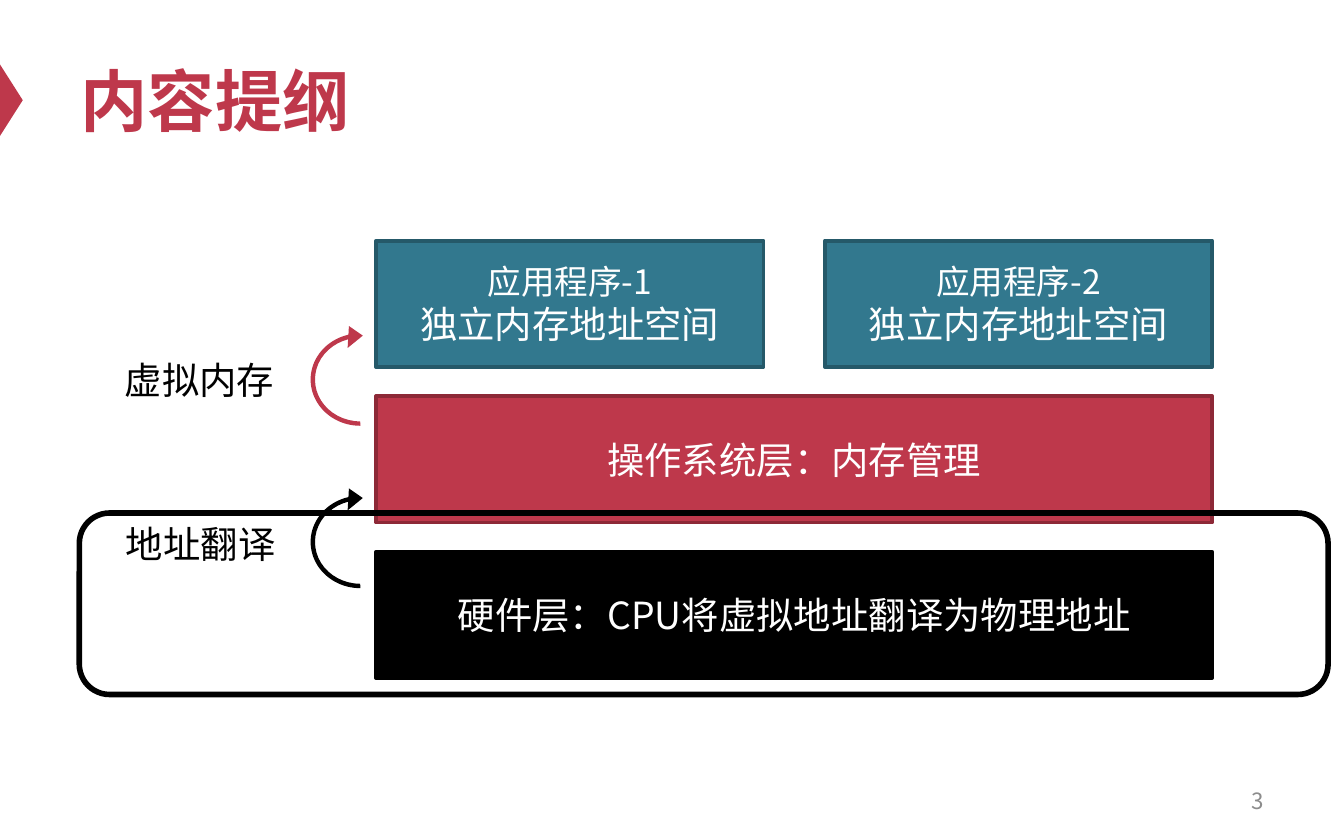
from lxml import etree
from pptx import Presentation
from pptx import util as u
from pptx.dml.color import RGBColor
from pptx.enum import shapes, text
from pptx.oxml.ns import qn

RED = RGBColor(0xBE, 0x38, 0x4B)
DARK_RED = RGBColor(0x8D, 0x29, 0x37)
TEAL = RGBColor(0x32, 0x78, 0x8E)
DARK_TEAL = RGBColor(0x25, 0x59, 0x69)
BLACK = RGBColor(0, 0, 0)
WHITE = RGBColor(0xFF, 0xFF, 0xFF)
GREY = RGBColor(0x8C, 0x8C, 0x8C)
CJK = "Noto Sans CJK SC"
ST = shapes.MSO_SHAPE
AL = text.PP_ALIGN


def format_text(p, size, color, name, align, bold=False):
    p.alignment = align
    f = p.font
    f.size, f.name, f.bold = u.Pt(size), name, bold
    f.color.rgb = color
    etree.SubElement(f._element, qn("a:ea")).set("typeface", CJK)


def add_shape(kind, x, y, w, h, fill=None, line=None, width=2):
    sp = s.shapes.add_shape(kind, u.Cm(x), u.Cm(y), u.Cm(w), u.Cm(h))
    sp.shadow.inherit = False
    if fill is None:
        sp.fill.background()
    else:
        sp.fill.solid()
        sp.fill.fore_color.rgb = fill
    if line is None:
        sp.line.fill.background()
    else:
        sp.line.color.rgb = line
        sp.line.width = u.Pt(width)
    return sp


prs = Presentation()
prs.slide_width, prs.slide_height = u.Cm(25.4), u.Cm(15.88)
s = prs.slides.add_slide(prs.slide_layouts[5])

marker = add_shape(ST.ISOSCELES_TRIANGLE, -0.46, 1.68, 1.35, 0.43, RED)
marker.rotation = 90

title = s.shapes.title
title.left, title.top, title.width, title.height = u.Cm(1.27), u.Cm(0.64), u.Cm(22.86), u.Cm(2.49)
tf = title.text_frame
tf.text = "内容提纲"
tf.vertical_anchor = text.MSO_ANCHOR.MIDDLE
format_text(tf.paragraphs[0], 36, RED, "Arial", AL.LEFT, True)

LEFT, FULL, HALF, HEIGHT = 7.11, 15.8, 7.32, 2.39
TOP, STEP = 4.55, 2.94
layers = [
    (LEFT, 2, FULL, BLACK, BLACK, [("硬件层：CPU将虚拟地址翻译为物理地址", 20)]),
    (LEFT, 1, FULL, RED, DARK_RED, [("操作系统层：内存管理", 20)]),
    (LEFT, 0, HALF, TEAL, DARK_TEAL, [("应用程序-1", 18), ("独立内存地址空间", 20)]),
    (LEFT + FULL - HALF, 0, HALF, TEAL, DARK_TEAL, [("应用程序-2", 18), ("独立内存地址空间", 20)]),
]
for x, row, w, fill, line, lines in layers:
    sp = add_shape(ST.RECTANGLE, x, TOP + row * STEP, w, HEIGHT, fill, line)
    tf = sp.text_frame
    tf.vertical_anchor = text.MSO_ANCHOR.MIDDLE
    p = tf.paragraphs[0]
    format_text(p, 20, WHITE, CJK, AL.CENTER)
    for i, (words, size) in enumerate(lines):
        if i:
            p.add_line_break()
        r = p.add_run()
        r.text = words
        if size != 20:
            r.font.size = u.Pt(size)

labels = [
    ("地址翻译", 2.13, 9.73, 3.35, 1.12, 20, BLACK, "Arial", AL.LEFT),
    ("虚拟内存", 2.11, 6.63, 3.35, 1.12, 20, BLACK, "Arial", AL.LEFT),
    ("3", 18.21, 14.71, 5.92, 0.84, 12, GREY, CJK, AL.RIGHT),
]
for words, x, y, w, h, size, color, name, align in labels:
    tf = s.shapes.add_textbox(u.Cm(x), u.Cm(y), u.Cm(w), u.Cm(h)).text_frame
    tf.text = words
    tf.word_wrap = align == AL.RIGHT
    tf.vertical_anchor = text.MSO_ANCHOR.MIDDLE if align == AL.RIGHT else text.MSO_ANCHOR.TOP
    format_text(tf.paragraphs[0], size, color, name, align)

for y, color in [(6.07, RED), (9.14, BLACK)]:
    arrow = add_shape(ST.CIRCULAR_ARROW, 5.77, y, 2.08, 2.21, color)
    arrow.rotation = 270
    for i, value in enumerate([0.04, 11.42, 206.56, 108, 0.1]):
        arrow.adjustments[i] = value

add_shape(ST.ROUNDED_RECTANGLE, 1.5, 9.7, 23.6, 3.43, line=BLACK, width=3)

prs.save("out.pptx")
